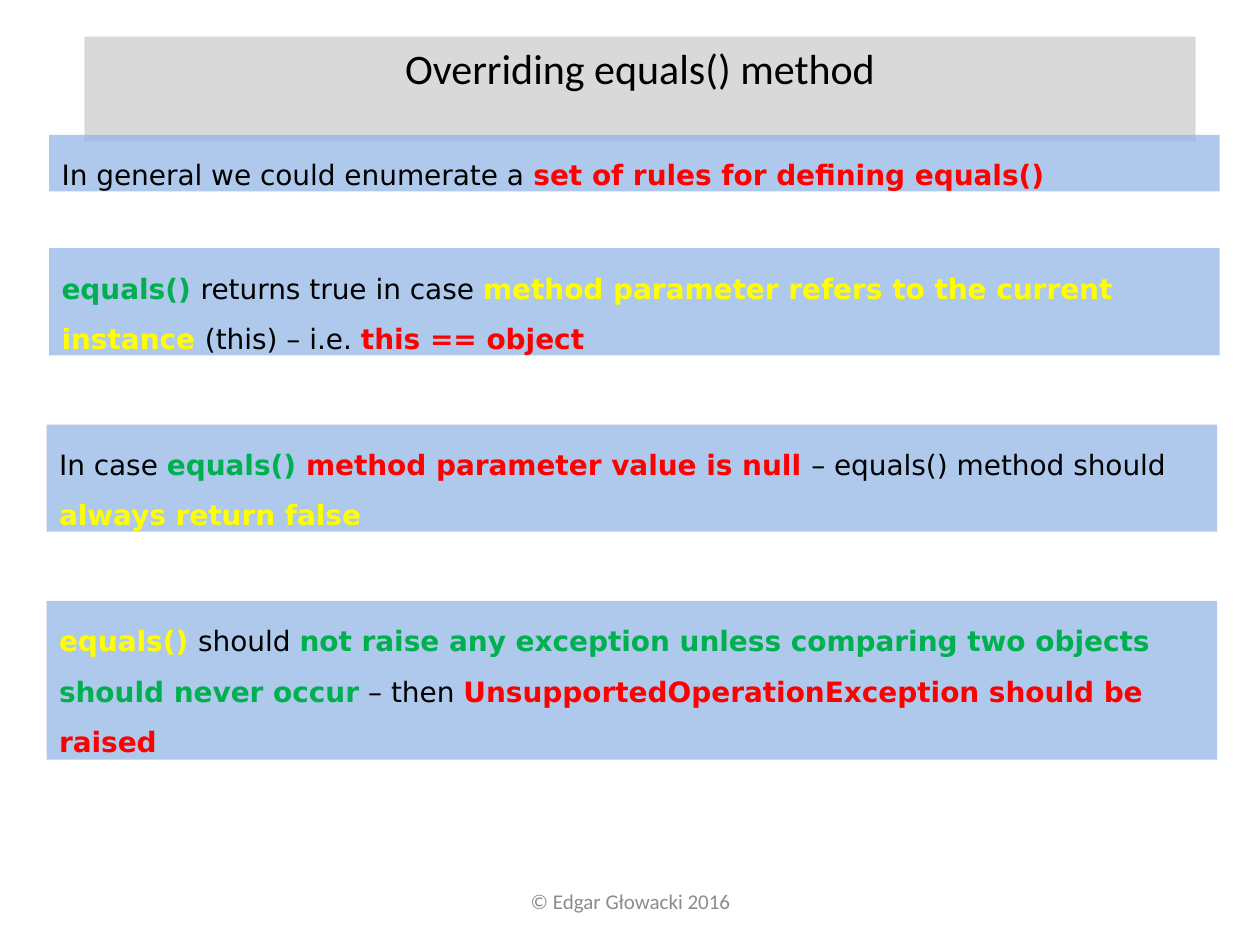
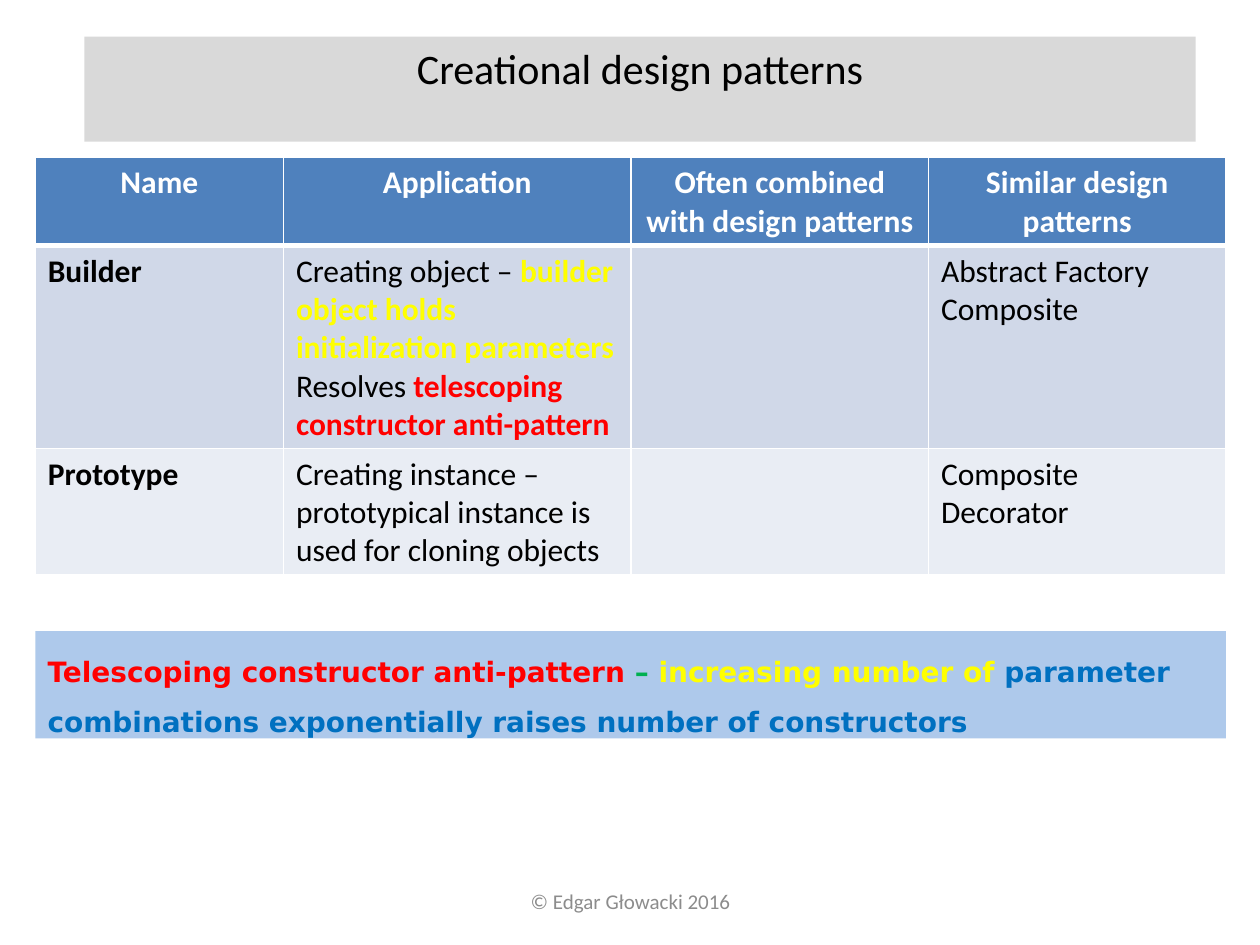
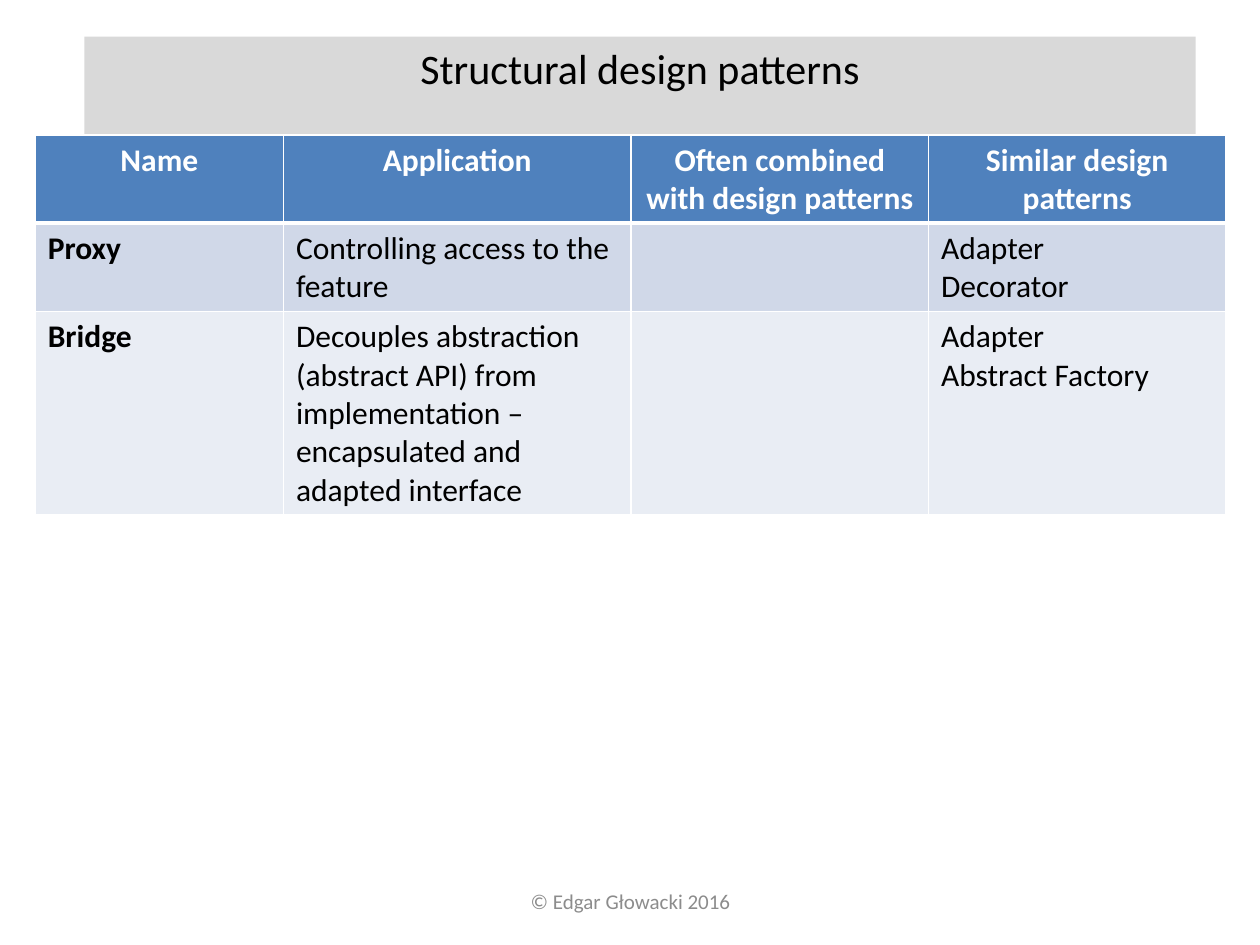
from dataclasses import dataclass
from functools import partial
from typing import NamedTuple

from lxml import etree
from pptx import Presentation
from pptx.dml.color import RGBColor
from pptx.enum.shapes import MSO_SHAPE
from pptx.enum.text import MSO_ANCHOR, MSO_AUTO_SIZE, PP_ALIGN
from pptx.oxml.ns import qn
from pptx.util import Pt

RECT = MSO_SHAPE.RECTANGLE
TOP, MIDDLE = MSO_ANCHOR.TOP, MSO_ANCHOR.MIDDLE
GROW, FIXED = MSO_AUTO_SIZE.SHAPE_TO_FIT_TEXT, MSO_AUTO_SIZE.NONE
LEFT, CENTER = PP_ALIGN.LEFT, PP_ALIGN.CENTER


# Theme: colours, fonts and type sizes
@dataclass(frozen=True)
class Theme:
    black: str = "000000"
    white: str = "FFFFFF"
    red: str = "FF0000"
    green: str = "00B050"
    yellow: str = "FFFF00"
    blue: str = "0070C0"
    grey: str = "8C8C8C"
    title_fill: str = "D9D9D9"
    band_fill: str = "8EB4E3"
    band_opacity: int = 71
    header_fill: str = "4F81BD"
    row_fills: tuple[str, str] = ("D0D8E8", "E9EDF4")
    sans: str = "Calibri"
    band_font: str = "DejaVu Sans"
    title_size: float = 24
    table_size: float = 18
    band_size: float = 16
    footer_size: float = 12


T = Theme()


# Content types
class Run(NamedTuple):
    text: str
    color: str = T.black
    bold: bool = False


class Box(NamedTuple):
    left: float
    top: float
    width: float
    height: float


class Band(NamedTuple):
    box: Box
    runs: list[Run]


class Pattern(NamedTuple):
    name: str
    application: list[list[Run]]
    similar: list[str]
    lines: int


red = partial(Run, color=T.red, bold=True)
green = partial(Run, color=T.green, bold=True)
yellow = partial(Run, color=T.yellow, bold=True)
blue = partial(Run, color=T.blue, bold=True)
bold = partial(Run, bold=True)
heading = partial(Run, color=T.white, bold=True)

# Shared layout, in points
TITLE_BOX = Box(48.24, 20.88, 635.04, 36)
FOOTER_BOX = Box(246.24, 500.4, 228.24, 28.8)
FOOTER = "© Edgar Głowacki 2016"
TABLE_LEFT = 20.16
COLUMNS = [141.84, 198.72, 169.92, 169.92]
HEADINGS = ["Name", "Application", "Often combined with design patterns",
            "Similar design patterns"]
LINE_HEIGHT, ROW_PADDING = 22, 6
THIN, THICK = 1, 3

# Slide content
RULES = [
    Band(Box(28.08, 77.04, 668.88, 32.4), [
        Run("In general we could enumerate a "),
        red("set of rules for defining equals()")]),
    Band(Box(28.08, 141.84, 668.88, 61.2), [
        green("equals() "), Run("returns true in case "),
        yellow("method parameter refers to the current instance "),
        Run("(this) – i.e. "), red("this == object")]),
    Band(Box(26.64, 242.64, 668.88, 61.2), [
        Run("In case "), green("equals() "),
        red("method parameter value is null "),
        Run("– equals() method should "), yellow("always return false")]),
    Band(Box(26.64, 343.44, 668.88, 90.72), [
        yellow("equals() "), Run("should "),
        green("not raise any exception unless comparing two objects "
              "should never occur"),
        Run(" – then "),
        red("UnsupportedOperationException should be raised")]),
]
CREATIONAL = [
    Pattern("Builder", [
        [Run("Creating object – "),
         yellow("builder object holds initialization parameters")],
        [Run("Resolves "), red("telescoping constructor anti-pattern")],
    ], ["Abstract Factory", "Composite"], lines=5),
    Pattern("Prototype", [[Run("Creating instance – prototypical instance is "
                               "used for cloning objects")]],
            ["Composite", "Decorator"], lines=3),
]
TELESCOPING = Band(Box(TABLE_LEFT, 360.72, sum(COLUMNS), 61.2), [
    red("Telescoping constructor anti-pattern "), green("– "),
    yellow("increasing number of "),
    blue("parameter combinations exponentially raises number of constructors")])
STRUCTURAL = [
    Pattern("Proxy", [[Run("Controlling access to the feature")]],
            ["Adapter", "Decorator"], lines=2),
    Pattern("Bridge", [[Run("Decouples abstraction (abstract API) from "
                            "implementation – encapsulated and adapted "
                            "interface")]],
            ["Adapter", "Abstract Factory"], lines=5),
]


# Helpers
def set_all(target, values: dict) -> None:
    for name, value in values.items():
        setattr(target, name, value)


def points(box: Box) -> list:
    return [Pt(v) for v in box]


def set_fill(target, color: str) -> None:
    target.fill.solid()
    target.fill.fore_color.rgb = RGBColor.from_string(color)


def write(tf, paragraphs: list[list[Run]], font: str, size: float,
          align=LEFT, spacing: float = 1.0) -> None:
    for i, runs in enumerate(paragraphs):
        p = tf.paragraphs[0] if i == 0 else tf.add_paragraph()
        set_all(p, {"alignment": align, "line_spacing": spacing})
        for run in runs:
            r = p.add_run()
            r.text = run.text
            set_all(r.font, {"name": font, "size": Pt(size), "bold": run.bold})
            r.font.color.rgb = RGBColor.from_string(run.color)


def set_borders(cell, widths: dict[str, float]) -> None:
    tcPr = cell._tc.get_or_add_tcPr()
    for side, width in widths.items():
        ln = etree.SubElement(tcPr, qn(f"a:{side}"), w=str(Pt(width)))
        line_fill = etree.SubElement(ln, qn("a:solidFill"))
        etree.SubElement(line_fill, qn("a:srgbClr"), val=T.white)


# Slide parts
def add_slide(prs, title: str):
    s = prs.slides.add_slide(prs.slide_layouts[5])
    footer = s.shapes.add_textbox(*points(FOOTER_BOX))
    set_all(footer.text_frame, {"word_wrap": True, "vertical_anchor": MIDDLE,
                                "auto_size": FIXED})
    write(footer.text_frame, [[Run(FOOTER, T.grey)]], T.sans, T.footer_size,
          CENTER)
    sp = s.shapes.title
    set_all(sp, dict(zip(Box._fields, points(TITLE_BOX))))
    set_fill(sp, T.title_fill)
    set_all(sp.text_frame, {"word_wrap": True, "vertical_anchor": TOP,
                            "auto_size": GROW})
    write(sp.text_frame, [[Run(title)]], T.sans, T.title_size, CENTER)
    return s


def add_band(s, band: Band) -> None:
    sp = s.shapes.add_shape(RECT, *points(band.box))
    sp.shadow.inherit = False
    sp.line.fill.background()
    set_fill(sp, T.band_fill)
    color = sp._element.spPr.find(f".//{qn('a:srgbClr')}")
    etree.SubElement(color, qn("a:alpha"), val=str(T.band_opacity * 1000))
    set_all(sp.text_frame, {"word_wrap": True, "vertical_anchor": TOP,
                            "auto_size": GROW})
    write(sp.text_frame, [band.runs], T.band_font, T.band_size, spacing=1.5)


def add_pattern_table(s, top: float, patterns: list[Pattern]) -> None:
    rows = [[[[heading(h)]] for h in HEADINGS]]
    rows += [[[[bold(p.name)]], p.application, [], [[Run(x)] for x in p.similar]]
             for p in patterns]
    heights = [ROW_PADDING + LINE_HEIGHT * n
               for n in [2, *(p.lines for p in patterns)]]
    box = Box(TABLE_LEFT, top, sum(COLUMNS), sum(heights))
    table = s.shapes.add_table(len(rows), len(COLUMNS), *points(box)).table
    for column, width in zip(table.columns, COLUMNS):
        column.width = Pt(width)
    for i, (cells, height) in enumerate(zip(rows, heights)):
        table.rows[i].height = Pt(height)
        fill = T.row_fills[(i - 1) % 2] if i else T.header_fill
        borders = {"lnL": THIN, "lnR": THIN, "lnT": THICK if i == 1 else THIN,
                   "lnB": THIN if i else THICK}
        for j, paragraphs in enumerate(cells):
            cell = table.cell(i, j)
            set_borders(cell, borders)
            set_fill(cell, fill)
            write(cell.text_frame, paragraphs, T.sans, T.table_size,
                  LEFT if i else CENTER)


def main() -> None:
    prs = Presentation()
    set_all(prs, {"slide_width": Pt(720), "slide_height": Pt(540)})

    # Rules for equals()
    s = add_slide(prs, "Overriding equals() method")
    for rule in RULES:
        add_band(s, rule)

    # Creational patterns
    s = add_slide(prs, "Creational design patterns")
    add_pattern_table(s, 90, CREATIONAL)
    add_band(s, TELESCOPING)

    # Structural patterns
    s = add_slide(prs, "Structural design patterns")
    add_pattern_table(s, 77.04, STRUCTURAL)

    prs.save("out.pptx")


if __name__ == "__main__":
    main()
